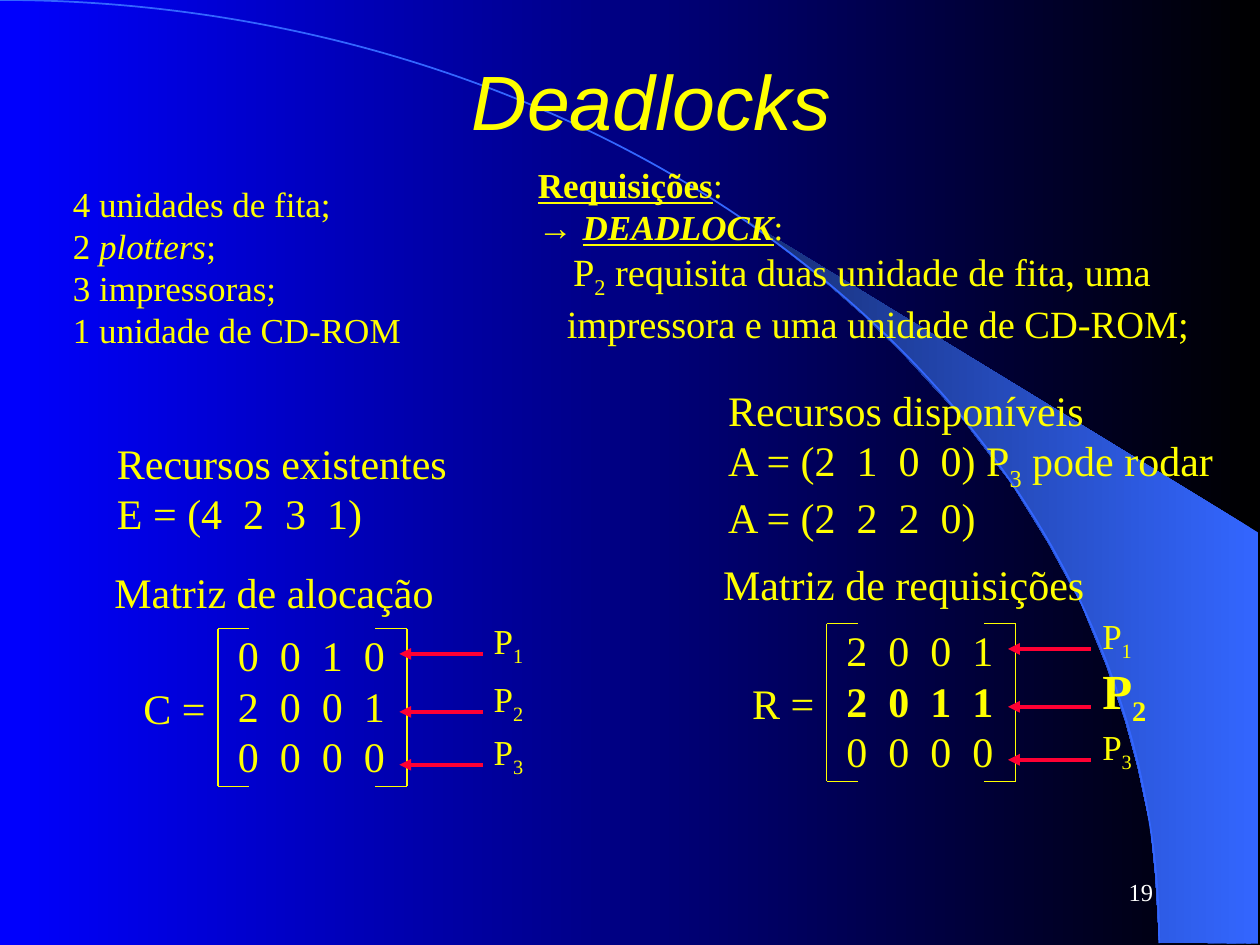
"""Build the Deadlocks slide with allocation and request matrices."""
from pptx import Presentation
from pptx.dml.color import RGBColor
from pptx.enum.shapes import MSO_CONNECTOR, MSO_SHAPE
from pptx.enum.text import MSO_ANCHOR, PP_ALIGN
from pptx.oxml.ns import qn
from pptx.util import Inches, Pt
from lxml.etree import SubElement

YELLOW = RGBColor(0xFF, 0xFF, 0x00)
WHITE = RGBColor(0xFF, 0xFF, 0xFF)
BLACK = RGBColor(0x00, 0x00, 0x00)
BLUE = RGBColor(0x00, 0x00, 0xFF)
SKY = RGBColor(0x33, 0x66, 0xFF)
NAVY = RGBColor(0x17, 0x2F, 0x75)
RED = RGBColor(0xFF, 0x00, 0x33)
SERIF = "Times New Roman"
BOLD = {"bold": True}
SUB = {"sub": True}


def add_text(x, y, w, h, paragraphs, size=24):
    tf = slide.shapes.add_textbox(Inches(x), Inches(y), Inches(w), Inches(h)).text_frame
    tf.word_wrap = True
    tf.margin_right = Inches(0)
    for i, runs in enumerate(paragraphs):
        p = tf.paragraphs[0] if i == 0 else tf.add_paragraph()
        for text, style in runs:
            r = p.add_run()
            r.text = text
            r.font.name = style.get("font", SERIF)
            r.font.size = Pt(style.get("size", size))
            r.font.color.rgb = YELLOW
            r.font.bold = style.get("bold")
            r.font.italic = style.get("italic")
            r.font.underline = style.get("underline")
            if style.get("sub"):
                r._r.get_or_add_rPr().set("baseline", "-25000")
    return tf


def add_line(x1, y1, x2, y2, color, width, arrow=False):
    line = slide.shapes.add_connector(
        MSO_CONNECTOR.STRAIGHT, Inches(x1), Inches(y1), Inches(x2), Inches(y2))
    line.line.color.rgb = color
    line.line.width = Pt(width)
    if arrow:
        SubElement(line.line._get_or_add_ln(), qn("a:headEnd"), type="triangle")
    SubElement(line._element.spPr, qn("a:effectLst"))


prs = Presentation()
prs.slide_width, prs.slide_height = Inches(10), Inches(7.5)
slide = prs.slides.add_slide(prs.slide_layouts[5])

wedge_points = [
    (9.2, 7.48), (9.99, 7.49), (9.99, 4.23), (5.89, 1.73), (6.24, 1.99), (6.53, 2.22),
    (6.85, 2.5), (7.16, 2.8), (7.62, 3.3), (8.03, 3.84), (8.32, 4.31), (8.58, 4.79),
    (8.78, 5.28), (8.93, 5.72), (9.03, 6.09), (9.13, 6.56), (9.17, 6.96)]
points = [(Inches(x), Inches(y)) for x, y in wedge_points]
builder = slide.shapes.build_freeform(*points[0])
builder.add_line_segments(points[1:], close=True)
wedge = builder.convert_to_shape()
wedge.shadow.inherit = False
wedge.line.fill.background()

for fill, colors in ((slide.background.fill, (BLACK, BLUE)), (wedge.fill, (SKY, NAVY))):
    fill.gradient()
    fill.gradient_angle = 180
    for stop, color, position in zip(fill.gradient_stops, colors, (0, 1)):
        stop.color.rgb = color
        stop.position = position

arc = slide.shapes.add_shape(
    MSO_SHAPE.ARC, Inches(-9.2), Inches(0), Inches(18.4), Inches(14.97))
arc.shadow.inherit = False
arc.fill.background()
arc.line.color.rgb = SKY
arc.line.width = Pt(1)

title = slide.shapes.title
title.left, title.top, title.width, title.height = (
    Inches(0.67), Inches(0.17), Inches(9), Inches(1.25))
slide.shapes._spTree.append(title._element)
tf = title.text_frame
tf.text = "Deadlocks"
tf.vertical_anchor = MSO_ANCHOR.MIDDLE
p = tf.paragraphs[0]
p.alignment = PP_ALIGN.CENTER
font = p.runs[0].font
font.name, font.size, font.italic = "Arial", Pt(44), True
font.color.rgb = YELLOW

add_text(0.48, 1.4, 2.8, 1.44, [
    [("4 unidades de fita;", {})],
    [("2 ", {}), ("plotters", {"italic": True}), (";", {})],
    [("3 impressoras;", {})],
    [("1 unidade de CD-ROM", {})]], 20)

large = {"size": 22}
requests = add_text(4.17, 1.25, 5.36, 1.55, [
    [("Requisições", {"bold": True, "underline": True}), (":", {})],
    [("→ ", {"font": "Arial"}),
     ("DEADLOCK", {"bold": True, "italic": True, "underline": True}), (":", {})],
    [("P", large), ("2", {**large, **SUB}), (" requisita duas unidade de fita, uma", large)],
    [("impressora e uma unidade de CD-ROM;", large)]], 20)
for p, indent in zip(requests.paragraphs[2:], (0.28, 0.23)):
    p._p.get_or_add_pPr().set("marL", str(Inches(indent)))

add_text(0.83, 3.42, 2.82, 0.9, [[("Recursos existentes", {})], [("E = (4  2  3  1)", {})]])
add_text(5.68, 3, 4.06, 1.36, [
    [("Recursos disponíveis", {})],
    [("A = (2  1  0  0) P", {}), ("3", SUB), (" pode rodar", {})],
    [("A = (2  2  2  0)", {})]])

matrices = [
    (1.73, 4.99, "C =", "Matriz de alocação", 4.45, 2.73,
     ("0  0  1  0", "2  0  0  1", "0  0  0  0"), None),
    (6.56, 4.95, "R =", "Matriz de requisições", 4.38, 3.07,
     ("2  0  0  1", "2  0  1  1", "0  0  0  0"), 1)]
for x, y, name, heading, heading_y, heading_w, rows, bold_row in matrices:
    add_text(x - 0.92, heading_y, heading_w, 0.5, [[(heading, {})]])
    add_text(x - 0.69, y + 0.38, 0.69, 0.5, [[(name, {})]])
    add_text(x + 0.06, y - 0.04, 1.36, 1.3,
             [[(row, BOLD if i == bold_row else {})] for i, row in enumerate(rows)])
    for side, tip in ((x, x + 0.25), (x + 1.5, x + 1.25)):
        add_line(side, y, side, y + 1.25, YELLOW, 0.75)
        for edge in (y, y + 1.25):
            add_line(side, edge, tip, edge, YELLOW, 0.75)
    for i, dy in enumerate((0.2, 0.66, 1.08)):
        add_line(x + 1.44, y + dy, x + 2.1, y + dy, RED, 2.25, arrow=True)
        if i == bold_row:
            rise, w, h, size, style = 0.42, 0.55, 0.63, 28, BOLD
        else:
            rise, w, h, size, style = 0.32, 0.43, 0.48, 20, {}
        add_text(x + 2.09, y + dy - rise, w, h,
                 [[("P", style), (str(i + 1), {**style, **SUB})]], size)

tf = slide.shapes.add_textbox(Inches(7.17), Inches(6.83), Inches(2.08), Inches(0.5)).text_frame
tf.word_wrap = True
tf.vertical_anchor = MSO_ANCHOR.MIDDLE
tf.text = "19"
p = tf.paragraphs[0]
p.alignment = PP_ALIGN.RIGHT
font = p.runs[0].font
font.name, font.size = SERIF, Pt(14)
font.color.rgb = WHITE

prs.save("out.pptx")
